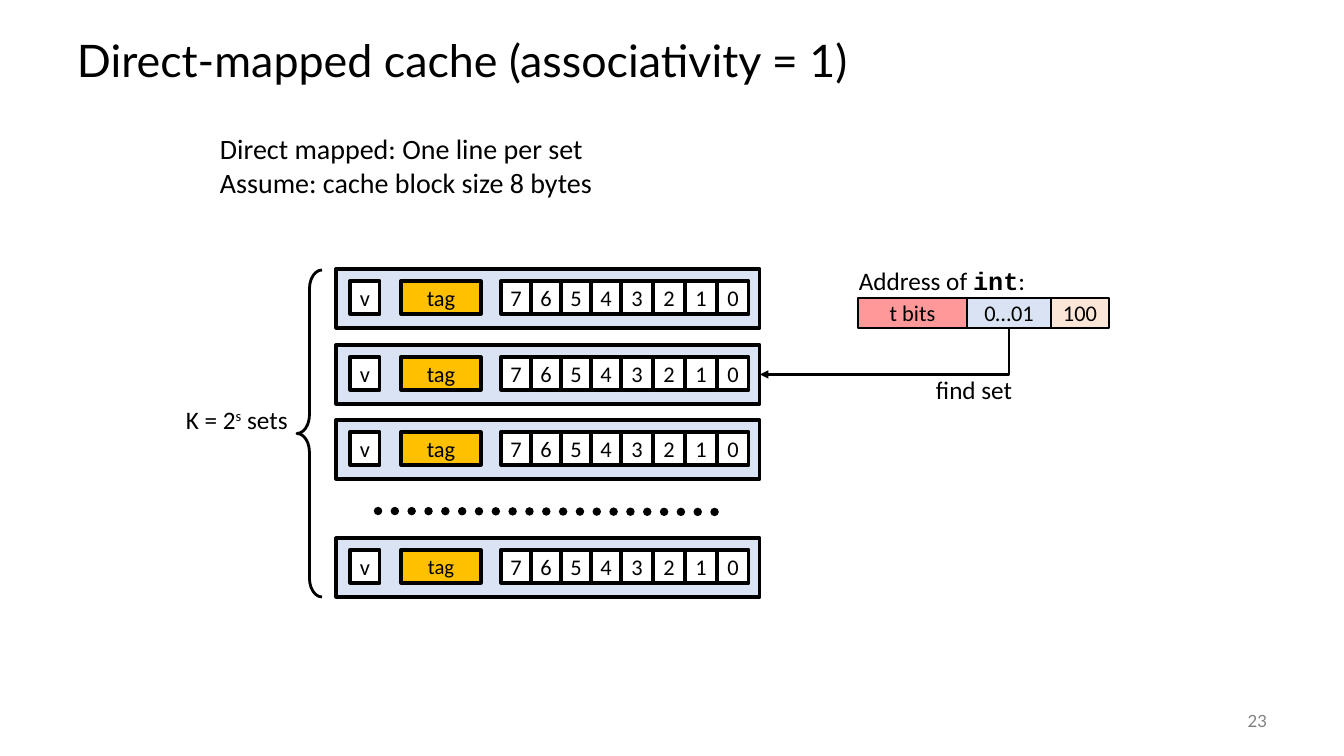
from lxml import etree
from pptx import Presentation
from pptx.dml.color import RGBColor
from pptx.enum.dml import MSO_LINE
from pptx.enum.shapes import MSO_CONNECTOR, MSO_SHAPE
from pptx.enum.text import MSO_ANCHOR, PP_ALIGN
from pptx.oxml.ns import qn
from pptx.util import Pt

PX = 914400 / 100.8
RECT, BRACE = MSO_SHAPE.RECTANGLE, MSO_SHAPE.LEFT_BRACE
STRAIGHT, ELBOW = MSO_CONNECTOR.STRAIGHT, MSO_CONNECTOR.ELBOW
DOTS = MSO_LINE.ROUND_DOT
TOP, MIDDLE = MSO_ANCHOR.TOP, MSO_ANCHOR.MIDDLE
LEFT, CENTER, RIGHT = PP_ALIGN.LEFT, PP_ALIGN.CENTER, PP_ALIGN.RIGHT
BODY, HEADING, CODE = "Calibri", "Lato", "Courier New"
COLORS = {
    "ink": "000000", "paper": "FFFFFF", "number": "808080", "set": "DAE3F3",
    "tag": "FFC000", "t_bits": "FF9999", "offset": "FBE5D6",
}


def px(length):
    return round(length * PX)


def color(name):
    return RGBColor.from_string(COLORS[name])


def write(frame, lines, size, font=BODY, ink="ink", align=LEFT, anchor=TOP, wrap=True):
    frame.word_wrap = wrap
    frame.vertical_anchor = anchor
    for index, spans in enumerate(lines):
        para = frame.paragraphs[0] if index == 0 else frame.add_paragraph()
        para.alignment = align
        para.font.name = font
        para.font.size = Pt(size)
        para.font.color.rgb = color(ink)
        for text in spans:
            para.add_run().text = text
    return frame.paragraphs[0]


def add_text(page, box, lines, size, **style):
    frame = page.shapes.add_textbox(*map(px, box)).text_frame
    return write(frame, lines, size, **style)


def add_cell(page, box, fill, weight, text=None, size=16, wrap=False):
    cell = page.shapes.add_shape(RECT, *map(px, box))
    cell.shadow.inherit = False
    cell.fill.solid()
    cell.fill.fore_color.rgb = color(fill)
    cell.line.color.rgb = color("ink")
    cell.line.width = Pt(weight)
    if text:
        write(cell.text_frame, [[text]], size, align=CENTER, anchor=MIDDLE, wrap=wrap)
    return cell


def add_line(page, kind, ends, weight):
    line = page.shapes.add_connector(kind, *map(px, ends))
    line.line.color.rgb = color("ink")
    line.line.width = Pt(weight)
    etree.SubElement(line._element.spPr, qn("a:effectLst"))
    return line


def add_cache_set(page, box, tag_size=16):
    left, top, width, height = box
    cache_set = add_cell(page, box, "set", 2.25)
    row, tall = top + 12, 33
    add_cell(page, (left + 14, row, 30, tall), "paper", 2.25, "v")
    add_cell(page, (left + 65, row, 80, tall), "tag", 2.25, "tag", tag_size)
    byte_left = left + 165
    for byte in range(7, -1, -1):
        byte_width = 30 if byte > 3 else 32
        add_cell(page, (byte_left, row, byte_width, tall), "paper", 2.25, str(byte))
        byte_left += byte_width
    return cache_set


def add_cache(page, box):
    left, top, width, height = box
    brace = page.shapes.add_shape(BRACE, *map(px, (left - 39, top + 1, 25, height - 1)))
    brace.adjustments[0] = 0.75
    brace.shadow.inherit = False
    brace.fill.background()
    brace.line.color.rgb = color("ink")
    brace.line.width = Pt(2)

    label = add_text(page, (left - 160, top + 130, 126, 40),
                     [["K = 2", "s", " sets"]], 18, wrap=False)
    label.runs[1]._r.get_or_add_rPr().set("baseline", "30000")

    dots_top = top + 242
    dots = add_line(page, STRAIGHT, (left + 42, dots_top, left + 387, dots_top + 1), 6)
    dots.line.dash_style = DOTS
    dots.line._get_or_add_ln().set("cap", "rnd")

    set_height = 59
    sets = [add_cache_set(page, (left, top + offset, width, set_height))
            for offset in (0, 76, 151)]
    add_cache_set(page, (left, top + height - set_height, width, set_height), 14.8)
    return sets[1]


def add_address(page, box):
    left, top, width, height = box
    label = add_text(page, (left - 9, top - 38, 189, 40),
                     [["Address of ", "int", ":"]], 18, wrap=False)
    label.runs[1].font.name = CODE
    label.runs[1].font.bold = True
    fields = (("t bits", 109, "t_bits"), ("0…01", 84, "set"), ("100", 58, "offset"))
    cells = []
    for text, field_width, fill in fields:
        cells.append(add_cell(page, (left, top, field_width, height), fill, 1, text,
                              wrap=True))
        left += field_width
    return cells[1]


def add_find_set(page, index_field, chosen_set):
    start_x = index_field.left + index_field.width // 2
    start_y = index_field.top + index_field.height
    end_x = chosen_set.left + chosen_set.width
    end_y = chosen_set.top + chosen_set.height // 2
    arrow = add_line(page, ELBOW, (0, 0, 1, 1), 2)
    arrow.begin_connect(index_field, 2)
    arrow.end_connect(chosen_set, 3)

    properties = arrow._element.spPr
    transform = properties.find(qn("a:xfrm"))
    for flip in ("flipH", "flipV"):
        transform.attrib.pop(flip, None)
    transform.set("rot", "5400000")
    properties.find(qn("a:prstGeom")).set("prst", "bentConnector2")
    across, down = start_x - end_x, end_y - start_y
    arrow.width, arrow.height = down, across
    arrow.left = (start_x + end_x - down) // 2
    arrow.top = (start_y + end_y - across) // 2
    etree.SubElement(arrow.line._get_or_add_ln(), qn("a:tailEnd"), type="triangle")
    add_text(page, (926, 369, 99, 40), [["find set"]], 18, wrap=False)


def add_headings(page):
    title = add_text(page, (67, 25, 1210, 76),
                     [["Direct-mapped cache (associativity = 1)"]],
                     32, font=HEADING, anchor=MIDDLE)
    title.line_spacing = 0.9
    add_text(page, (210, 127, 396, 78),
             [["Direct mapped: One line per set"], ["Assume: cache block size 8 bytes"]],
             20, wrap=False)
    add_text(page, (1176, 701, 101, 40), [["23"]], 12, font=HEADING,
             ink="number", align=RIGHT, anchor=MIDDLE)


def main():
    deck = Presentation()
    deck.slide_width, deck.slide_height = px(1344), px(756)
    page = deck.slides.add_slide(deck.slide_layouts[6])
    add_headings(page)
    chosen_set = add_cache(page, (336, 269, 424, 328))
    index_field = add_address(page, (858, 298, 251, 30))
    add_find_set(page, index_field, chosen_set)
    deck.save("out.pptx")


if __name__ == "__main__":
    main()
